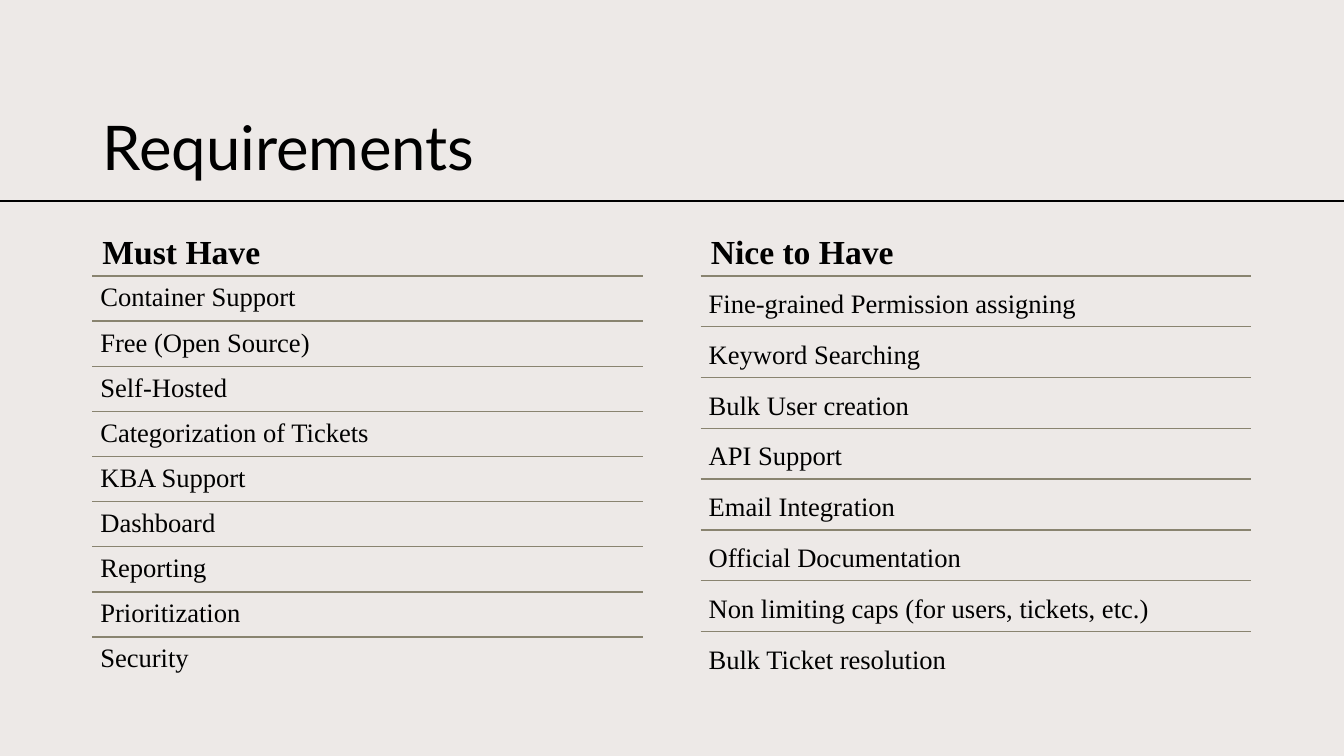
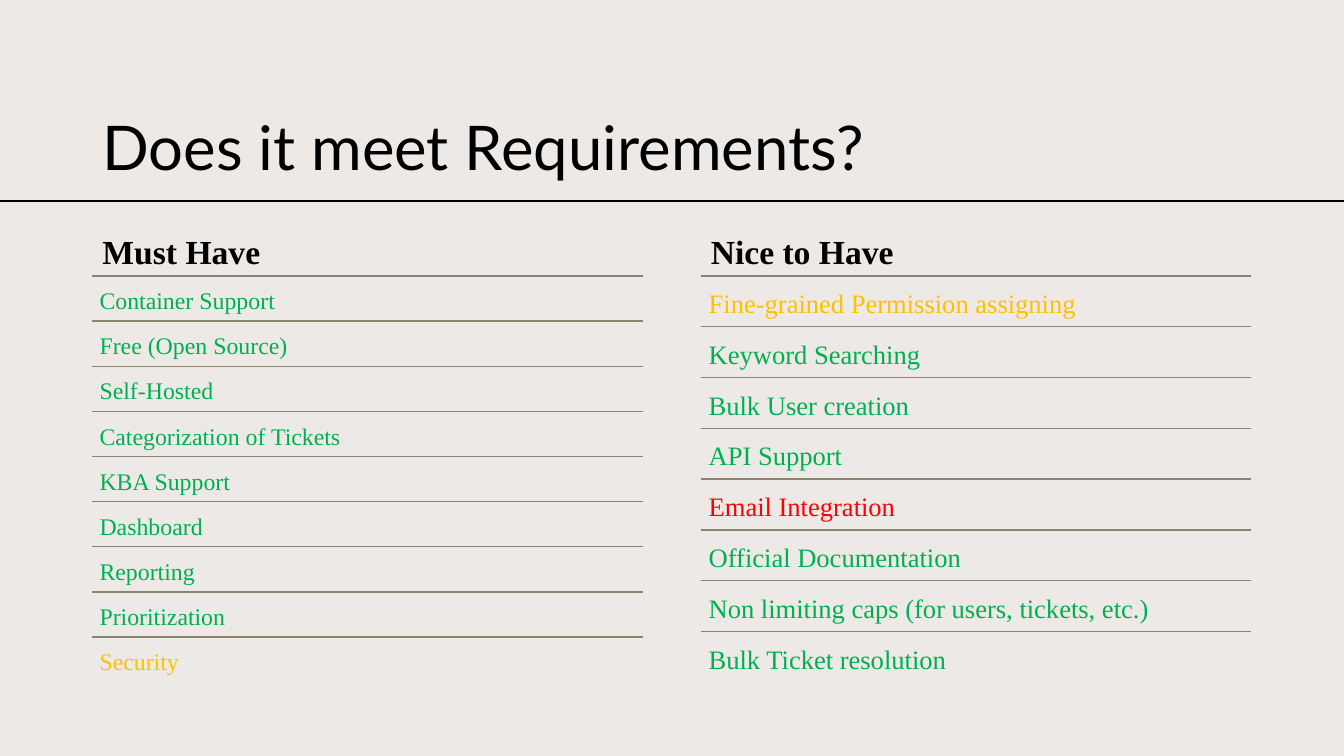
from pptx import Presentation
from pptx.dml.color import RGBColor
from pptx.enum.shapes import MSO_CONNECTOR
from pptx.enum.text import MSO_ANCHOR, MSO_AUTO_SIZE, PP_ALIGN
from pptx.oxml.ns import qn
from pptx.util import Pt
from lxml.etree import SubElement

BACKGROUND = RGBColor(0xED, 0xE9, 0xE7)
BLACK = RGBColor(0x00, 0x00, 0x00)
RULE = RGBColor(0x89, 0x84, 0x70)
GREEN = RGBColor(0x00, 0xB0, 0x50)
AMBER = RGBColor(0xFF, 0xC0, 0x00)
RED = RGBColor(0xFF, 0x00, 0x00)

TITLE_FONT, BODY_FONT = "Lato", "Times New Roman"
SLIDE_W, SLIDE_H = 960, 540
LEFT, RIGHT, COLUMN_W = 66, 500.5, 393.25
TITLE_BOX = (LEFT, 30.5, 828, 104.4)
DIVIDER_Y = 143.6
HEADING_H, LIST_H = 53.5, 290.2

MUST_HAVE = ["Container Support", "Free (Open Source)", "Self-Hosted",
             "Categorization of Tickets", "KBA Support", "Dashboard",
             "Reporting", "Prioritization", "Security"]
NICE_TO_HAVE = ["Fine-grained Permission assigning", "Keyword Searching",
                "Bulk User creation", "API Support", "Email Integration",
                "Official Documentation",
                "Non limiting caps (for users, tickets, etc.)",
                "Bulk Ticket resolution"]
RATINGS = {"Security": AMBER, "Fine-grained Permission assigning": AMBER,
           "Email Integration": RED}


def add_rule(shapes, x, y, w, color, weight):
    """Draw a horizontal line of width w from (x, y)."""
    line = shapes.add_connector(MSO_CONNECTOR.STRAIGHT, Pt(x), Pt(y), Pt(x + w), Pt(y))
    line.line.color.rgb = color
    line.line.width = Pt(weight)
    SubElement(line._element.spPr, qn("a:effectLst"))


def write(sp, text, font, size, color, spacing, anchor, bold=False):
    """Write one left-aligned paragraph into a shape."""
    tf = sp.text_frame
    tf.word_wrap = True
    tf.auto_size = MSO_AUTO_SIZE.NONE
    tf.vertical_anchor = anchor
    p = tf.paragraphs[0]
    p.alignment = PP_ALIGN.LEFT
    p.line_spacing = spacing
    r = p.add_run()
    r.text = text
    r.font.name, r.font.size, r.font.bold = font, Pt(size), bold
    r.font.color.rgb = color
    return p


def place(sp, x, y, w, h):
    """Move and size a shape, in points."""
    sp.left, sp.top, sp.width, sp.height = Pt(x), Pt(y), Pt(w), Pt(h)


def add_list(s, box, items, colors, size, spacing, inset):
    """Stack ruled rows of equal height in the box."""
    x, y, w, h = box
    row_h = h / len(items)
    group = s.shapes.add_group_shape()
    for i, item in enumerate(items):
        top = y + i * row_h
        add_rule(group.shapes, x, top, w, RULE, 1)
        sp = group.shapes.add_textbox(Pt(x), Pt(top), Pt(w), Pt(row_h))
        tf = sp.text_frame
        tf.margin_left = tf.margin_right = tf.margin_top = tf.margin_bottom = Pt(inset)
        write(sp, item, BODY_FONT, size, colors(item), spacing, MSO_ANCHOR.TOP)


def add_column(s, heading_sp, box, heading, items, colors, style):
    """Fill the box with a heading and its ruled list."""
    x, y, w, h = box
    place(heading_sp, x, y, w, HEADING_H)
    p = write(heading_sp, heading, BODY_FONT, 24, BLACK, 1.1, MSO_ANCHOR.BOTTOM, True)
    p.space_before = Pt(10)
    add_list(s, (x, y + HEADING_H, w, h - HEADING_H), items, colors, *style)


def add_requirements_slide(prs, title, colors, must_style, nice_style):
    """Add a titled slide comparing both requirement lists."""
    s = prs.slides.add_slide(prs.slide_layouts.get_by_name("Comparison"))
    holders = {ph.placeholder_format.idx: ph for ph in s.placeholders}
    for idx in (2, 4):
        element = holders[idx]._element
        element.getparent().remove(element)
    add_rule(s.shapes, 0, DIVIDER_Y, SLIDE_W, BLACK, 0.75)
    place(s.shapes.title, *TITLE_BOX)
    write(s.shapes.title, title, TITLE_FONT, 44, BLACK, 0.9, MSO_ANCHOR.BOTTOM)
    columns = [(1, LEFT, "Must Have", MUST_HAVE, must_style),
               (3, RIGHT, "Nice to Have", NICE_TO_HAVE, nice_style)]
    for idx, x, heading, items, style in columns:
        box = (x, DIVIDER_Y, COLUMN_W, HEADING_H + LIST_H)
        add_column(s, holders[idx], box, heading, items, colors, style)


def main():
    """Build and save the presentation."""
    prs = Presentation()
    prs.slide_width, prs.slide_height = Pt(SLIDE_W), Pt(SLIDE_H)
    fill = prs.slide_master.background.fill
    fill.solid()
    fill.fore_color.rgb = BACKGROUND
    nice_style = (19, 1.1, 5.7)
    add_requirements_slide(prs, "Requirements", lambda item: BLACK,
                           (19, 0.9, 5.7), nice_style)
    add_requirements_slide(prs, "Does it meet Requirements?",
                           lambda item: RATINGS.get(item, GREEN),
                           (17, 1.1, 5.1), nice_style)
    prs.save("out.pptx")


if __name__ == "__main__":
    main()
